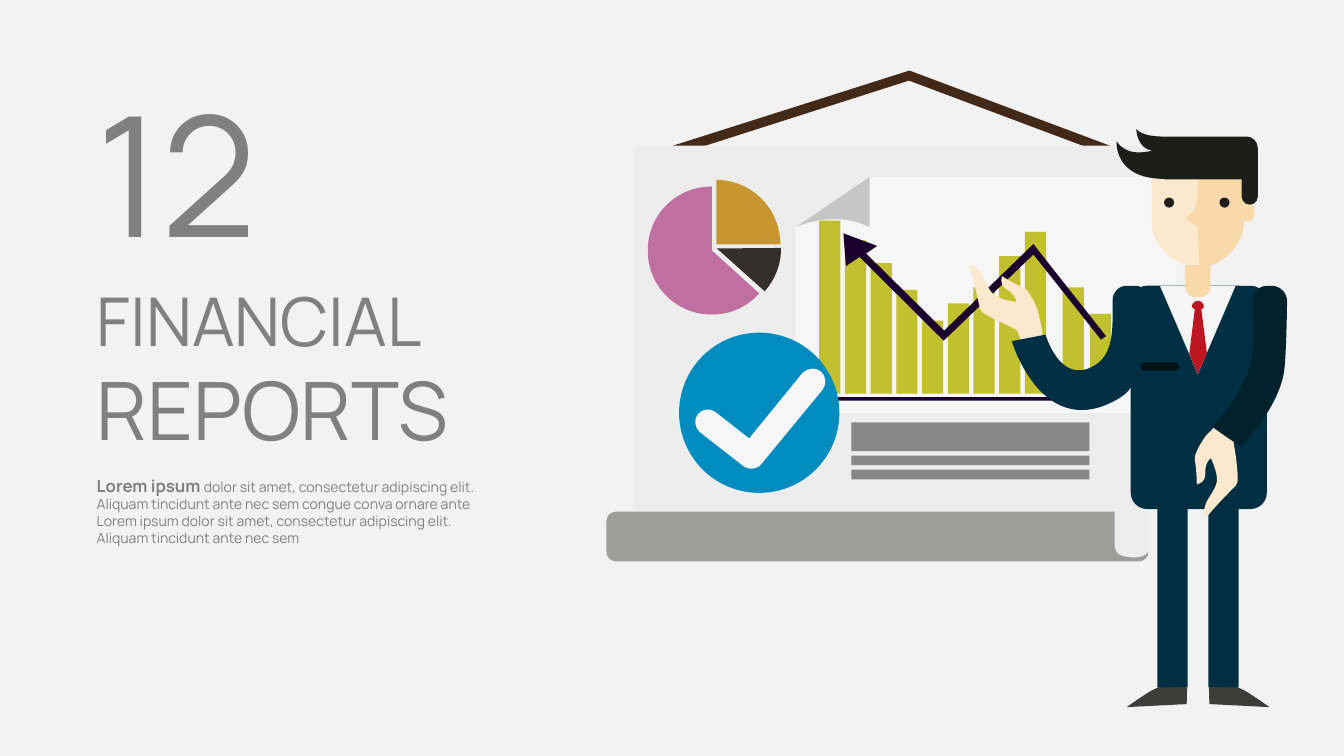
from pptx import Presentation
from pptx.dml.color import RGBColor
from pptx.enum.shapes import MSO_SHAPE as Preset
from pptx.enum.text import MSO_ANCHOR as Anchor, MSO_AUTO_SIZE as AutoSize, PP_ALIGN as Align
from pptx.oxml.ns import qn
from pptx.util import Pt

PX = 9144
FONT = "Manrope"
GREY, NAVY, SKIN, SKIN_SHADE = "808080", "002F43", "FCE9CD", "F9D8A9"
BLACK, LIME, PLUM, OFF_WHITE = "1D1D1B", "C3C02F", "1A002D", "F6F6F6"


def paint(shape, colour):
    """Give a shape one flat colour, with no line or shadow."""
    shape.shadow.inherit = False
    shape.fill.solid()
    shape.fill.fore_color.rgb = RGBColor.from_string(colour)
    shape.line.fill.background()


def preset(group, origin, kind, box, colour, rounding=None):
    """Draw a preset shape in a box measured from the origin."""
    left, top, width, height = box
    shape = group.shapes.add_shape(kind, (origin[0] + left) * PX, (origin[1] + top) * PX,
                                   width * PX, height * PX)
    if rounding is not None:
        shape.adjustments[0] = rounding
    paint(shape, colour)


def outline(group, origin, steps, colour):
    """Draw a closed outline: pairs are corners, sixes are Bezier curves."""
    points = [step[i:i + 2] for step in steps for i in range(0, len(step), 2)]
    builder = group.shapes.build_freeform(*points[0], scale=PX)
    builder.add_line_segments(points[1:], close=True)
    shape = builder.convert_to_shape(origin[0] * PX, origin[1] * PX)
    segments = iter(list(shape._element.iter(qn("a:lnTo"))))
    for step in steps[1:]:
        segment = next(segments)
        if len(step) == 6:
            segment.tag = qn("a:cubicBezTo")
            for _ in range(2):
                merged = next(segments)
                segment.append(merged[0])
                merged.getparent().remove(merged)
    paint(shape, colour)


def mirror(steps, axis_sum):
    """Flip an outline left to right."""
    return [tuple(axis_sum - v if i % 2 == 0 else v for i, v in enumerate(step)) for step in steps]


def draw_board(group, origin):
    """Draw the hanging board with its roll, rope and charts."""
    outline(group, origin, [(115, 176), (110, 157), (604, 0), (1012, 153), (1006, 171), (603, 20)],
            "432918")
    preset(group, origin, Preset.ROUNDED_RECTANGLE, (55, 149, 1023, 825), "EDEDED", 0.02)
    outline(group, origin, [
        (1026, 963), (1014, 961, 1011, 946, 1011, 946), (1011, 875), (23, 875),
        (12, 875, 3, 883, 3, 894), (3, 955), (3, 966, 12, 974, 23, 974), (1058, 974),
        (1069, 974, 1078, 966, 1078, 955), (1067, 972, 1033, 965, 1026, 963)], "9D9D9C")
    draw_bar_page(group, origin)
    for top, height in ((698, 57), (764, 19), (792, 19)):
        preset(group, origin, Preset.RECTANGLE, (489, top, 472, height), "878787")
    draw_pie(group, origin)
    draw_check(group, origin)


def draw_bar_page(group, origin):
    """Draw the folded page with bars and a trend arrow."""
    outline(group, origin, [(1134, 211), (1134, 679), (378, 679), (378, 311), (525, 211)], OFF_WHITE)
    preset(group, origin, Preset.RECTANGLE, (425, 648, 558, 7), PLUM)
    bar_lefts = [425 + 51 * i for i in range(9)] + [908, 962]
    bar_heights = [343, 304, 259, 206, 145, 179, 211, 273, 321, 211, 158]
    for left, height in zip(bar_lefts, bar_heights):
        preset(group, origin, Preset.RECTANGLE, (left, 641 - height, 42, height), LIME)
    outline(group, origin, [
        (540, 348), (518, 363), (673, 516), (850, 344), (859, 356), (994, 527), (984, 534),
        (850, 365), (672, 536), (505, 370), (478, 388), (473, 323)], PLUM)
    outline(group, origin, [
        (378, 311), (525, 211), (525, 311), (525, 311, 498, 295, 457, 295),
        (408, 295, 378, 311, 378, 311)], "C6C6C6")


def draw_pie(group, origin):
    """Draw the three separated pie slices."""
    outline(group, origin, [(221, 217), (221, 345), (348, 345), (348, 274, 291, 217, 221, 217)],
            "C7962F")
    outline(group, origin, [
        (212, 230), (141, 230, 84, 287, 85, 358), (85, 428, 142, 485, 213, 484),
        (250, 484, 283, 468, 306, 442), (212, 357)], "BF6FA0")
    outline(group, origin, [(222, 353), (317, 438), (337, 415, 350, 385, 349, 352)], "342F2D")


def draw_check(group, origin):
    """Draw the check mark on its disc."""
    preset(group, origin, Preset.OVAL, (147, 520, 318, 318), "018CBF")
    outline(group, origin, [
        (290, 790), (285, 790, 279, 788, 275, 785), (189, 718), (178, 709, 176, 693, 184, 682),
        (193, 671, 209, 669, 220, 678), (286, 730), (392, 600), (402, 590, 418, 588, 428, 597),
        (439, 606, 440, 622, 432, 633), (310, 781), (305, 787, 298, 790, 290, 790)], OFF_WHITE)


def draw_presenter(group, origin):
    """Draw the presenter, from the pointing hand to the front sleeves."""
    outline(group, origin, [
        (131, 321), (112, 314, 88, 298, 88, 298), (88, 298, 80, 314, 97, 324),
        (116, 336, 116, 349, 116, 349), (116, 349, 85, 346, 71, 334), (57, 322, 53, 299, 42, 287),
        (29, 273, 21, 276, 21, 276), (21, 276, 29, 294, 43, 358), (44, 365, 44, 369, 72, 383),
        (92, 393, 111, 401, 117, 405), (131, 439), (136, 447, 166, 441, 169, 430),
        (172, 419, 158, 364, 158, 364), (158, 364, 143, 326, 131, 321)], SKIN)
    preset(group, origin, Preset.ROUNDED_RECTANGLE, (343, 317, 270, 443), NAVY, 0.12)
    outline(group, origin, [(401, 317), (476, 492), (551, 317)], "F5F5F5")
    draw_legs(group, origin)
    preset(group, origin, Preset.ROUNDED_RECTANGLE, (451, 260, 50, 80), SKIN_SHADE, 0.42)
    outline(group, origin, [
        (483, 364), (486, 363, 490, 359, 488, 356), (484, 350, 484, 347, 479, 347), (474, 347),
        (469, 347, 468, 350, 464, 356), (463, 359, 467, 363, 470, 364), (459, 452), (476, 492),
        (494, 450)], "BD1622")
    draw_head(group, origin)
    preset(group, origin, Preset.ROUNDED_RECTANGLE, (362, 469, 77, 16), "011116", 0.5)
    draw_arms(group, origin)


def draw_legs(group, origin):
    """Draw a shoe and trouser leg on each side."""
    shoe = [(416, 1108), (416, 1108, 398, 1112, 381, 1122), (357, 1137, 335, 1153, 335, 1153),
            (454, 1147), (455, 1108)]
    trouser = [(456, 1113), (396, 1114), (396, 738), (456, 748)]
    for part, colour in ((shoe, "3C3C3B"), (trouser, NAVY)):
        outline(group, origin, part, colour)
        outline(group, origin, mirror(part, 953), colour)


def draw_head(group, origin):
    """Draw the face, its shaded half, the hair and the eyes."""
    outline(group, origin, [
        (494, 34), (458, 34), (418, 34, 385, 67, 385, 107), (385, 194),
        (385, 234, 429, 276, 461, 276), (497, 276), (521, 276, 567, 234, 567, 194), (567, 107),
        (567, 67, 535, 34, 494, 34)], "FCE9CE")
    outline(group, origin, [
        (573, 149), (571, 149, 569, 149, 567, 150), (567, 107), (567, 67, 535, 34, 494, 34),
        (476, 34), (476, 139), (476, 143, 474, 163, 464, 173), (457, 180, 450, 183, 450, 183),
        (476, 201), (479, 276), (497, 276), (521, 276, 567, 234, 567, 194), (567, 189),
        (569, 190, 571, 190, 573, 190), (581, 190, 588, 184, 588, 176), (588, 164),
        (588, 156, 581, 149, 573, 149)], SKIN_SHADE)
    outline(group, origin, [
        (573, 21), (408, 21), (395, 21, 366, 20, 354, 6), (354, 6, 355, 45, 386, 49),
        (386, 49, 359, 56, 341, 50), (321, 43, 315, 30, 315, 30), (315, 30, 308, 105, 410, 105),
        (410, 106), (573, 106), (585, 106, 595, 95, 595, 83), (595, 44),
        (595, 31, 585, 21, 573, 21)], BLACK)
    preset(group, origin, Preset.ROUNDED_RECTANGLE, (563, 64, 32, 92), BLACK, 0.5)
    for eye_left in (519, 409):
        preset(group, origin, Preset.OVAL, (eye_left, 142, 20, 20), BLACK)


def draw_arms(group, origin):
    """Draw the lowered hand and both sleeves."""
    outline(group, origin, [
        (470, 662), (474, 682, 474, 711, 474, 711), (474, 711, 492, 709, 491, 688),
        (490, 666, 502, 659, 502, 659), (502, 659, 516, 688, 514, 705),
        (511, 723, 494, 739, 490, 755), (485, 774, 492, 778, 492, 778),
        (492, 778, 503, 762, 549, 716), (554, 711, 557, 709, 554, 678),
        (552, 655, 548, 635, 547, 628), (569, 597), (573, 589, 551, 567, 540, 571),
        (530, 574, 491, 616, 491, 616), (491, 616, 467, 650, 470, 662)], SKIN)
    outline(group, origin, [
        (504, 596), (504, 596, 527, 614, 562, 636), (562, 636, 635, 562, 647, 488),
        (652, 453, 653, 347, 653, 347), (653, 331, 639, 317, 623, 317), (614, 317),
        (597, 317, 584, 331, 584, 347), (584, 347, 590, 444, 580, 475),
        (553, 553, 504, 596, 504, 596)], "01222D")
    outline(group, origin, [
        (379, 345), (379, 330, 367, 317, 352, 317), (335, 317), (319, 317, 307, 330, 307, 345),
        (307, 384), (306, 407, 307, 457, 268, 477), (202, 513, 174, 414, 174, 414), (107, 427),
        (107, 427, 168, 633, 322, 539), (369, 510, 367, 436, 372, 398),
        (377, 393, 379, 387, 379, 379)], NAVY)


def write_text(holder, box, paragraphs):
    """Place a text holder and fill it with runs of (text, size, bold)."""
    holder.left, holder.top, holder.width, holder.height = (v * PX for v in box)
    frame = holder.text_frame
    frame.word_wrap = True
    frame.auto_size = AutoSize.SHAPE_TO_FIT_TEXT
    frame.vertical_anchor = Anchor.TOP
    for i, runs in enumerate(paragraphs):
        paragraph = frame.add_paragraph() if i else frame.paragraphs[0]
        paragraph.alignment = Align.LEFT
        for text, size, bold in runs:
            run = paragraph.add_run()
            run.text = text
            run.font.name, run.font.size, run.font.bold = FONT, Pt(size), bold
            run.font.color.rgb = RGBColor.from_string(GREY)


def write_heading(slide, left, top):
    """Write the section number, title and introduction."""
    write_text(slide.shapes.title, (left, top + 414, 893, 365),
               [[("FINANCIAL", 96, False)], [("REPORTS", 115, False)]])
    write_text(slide.shapes.add_textbox(0, 0, 0, 0), (left, top, 833, 412), [[("12", 239, False)]])
    write_text(slide.shapes.add_textbox(0, 0, 0, 0), (left, top + 804, 833, 151), [[
        ("Lorem ipsum ", 24, True),
        ("dolor sit amet, consectetur adipiscing elit. Aliquam tincidunt ante nec sem congue conva "
         "ornare ante Lorem ipsum dolor sit amet, consectetur adipiscing elit. Aliquam tincidunt "
         "ante nec sem", 20, False)]])


def main():
    """Build and save the slide."""
    deck = Presentation()
    deck.slide_width, deck.slide_height = 2666 * PX, 1500 * PX
    slide = deck.slides.add_slide(deck.slide_layouts[5])
    slide.background.fill.solid()
    slide.background.fill.fore_color.rgb = RGBColor.from_string("F2F2F2")
    illustration = slide.shapes.add_group_shape()
    draw_board(illustration, (1200, 140))
    draw_presenter(illustration, (1900, 250))
    write_heading(slide, 182, 135)
    deck.save("out.pptx")


if __name__ == "__main__":
    main()
